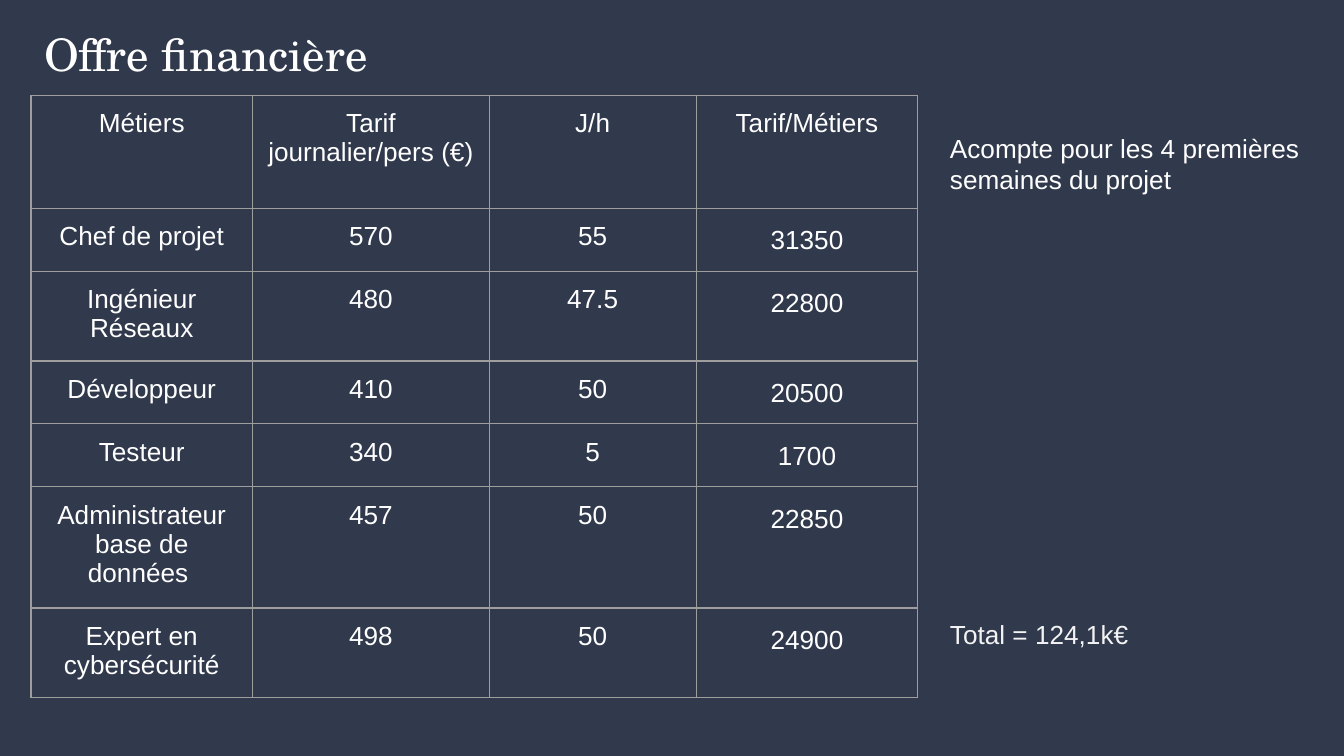
from lxml.etree import SubElement as Sub
from pptx import Presentation
from pptx.dml.color import RGBColor as Rgb
from pptx.enum.text import MSO_ANCHOR as Anchor, PP_ALIGN as Align
from pptx.oxml.ns import qn
from pptx.util import Inches, Pt

HUES = {"back": "31394D", "text": "FFFFFF", "total": "F3F3F3", "line": "9E9E9E"}
TITLE = "Offre financière"
NOTE = "Acompte pour les 4 premières semaines du projet"
TOTAL = "Total = 124,1k€"
HEAD = ("Métiers", "Tarif journalier/pers (€)", "J/h", "Tarif/Métiers")
JOBS = [
    ("Chef de projet", "570", "55", "31350"),
    ("Ingénieur Réseaux", "480", "47.5", "22800"),
    ("Développeur", "410", "50", "20500"),
    ("Testeur", "340", "5", "1700"),
    ("Administrateur base de données ", "457", "50", "22850"),
    ("Expert en cybersécurité", "498", "50", "24900"),
]
WIDTHS = (1.65, 1.76, 1.54, 1.65)
HEIGHTS = (0.84, 0.44, 0.61, 0.44, 0.44, 0.61, 0.61)
PAD = Inches(0.1)


def write(frame, text, size=14, font="Arial", hue="text", align=Align.LEFT, gap=None):
    par = frame.paragraphs[0]
    par.alignment = align
    par.line_spacing = gap
    run = par.add_run()
    run.text = text
    run.font.size = Pt(size)
    run.font.name = font
    run.font.bold = False
    run.font.color.rgb = Rgb.from_string(HUES[hue])


def add_box(slide, place, text, anchor=Anchor.TOP, **style):
    frame = slide.shapes.add_textbox(*map(Inches, place)).text_frame
    frame.word_wrap = True
    frame.vertical_anchor = anchor
    frame.margin_left = frame.margin_right = PAD
    frame.margin_top = frame.margin_bottom = PAD
    write(frame, text, **style)


def edge(cell):
    props = cell._tc.get_or_add_tcPr()
    for side in ("lnL", "lnR", "lnT", "lnB"):
        line = Sub(props, qn(f"a:{side}"), w=str(Pt(0.75)))
        Sub(Sub(line, qn("a:solidFill")), qn("a:srgbClr"), val=HUES["line"])


def add_rates(slide):
    rows = [HEAD, *JOBS]
    place = map(Inches, (0.23, 0.71, 3.28, 3.28))
    holder = slide.shapes.add_table(len(rows), len(HEAD), *place)
    table = holder.table
    table.first_row = table.horz_banding = False
    for col, width in zip(table.columns, WIDTHS):
        col.width = Inches(width)
    for row, height in zip(table.rows, HEIGHTS):
        row.height = Inches(height)
    holder.width = holder.height = Inches(3.28)
    for r, row in enumerate(rows):
        for c, text in enumerate(row):
            cell = table.cell(r, c)
            cell.margin_left = cell.margin_right = PAD
            cell.margin_top = cell.margin_bottom = PAD
            edge(cell)
            cell.fill.background()
            gap = 1.15 if r and c == len(HEAD) - 1 else None
            write(cell.text_frame, text, align=Align.CENTER, gap=gap)


def main():
    deck = Presentation()
    deck.slide_width = Inches(10)
    deck.slide_height = deck.slide_width * 9 // 16
    slide = deck.slides.add_slide(deck.slide_layouts[6])
    fill = slide.background.fill
    fill.solid()
    fill.fore_color.rgb = Rgb.from_string(HUES["back"])
    add_box(slide, (0.23, 0.12, 5.83, 0.58), TITLE, anchor=Anchor.BOTTOM,
            size=24, font="TeX Gyre Schola")
    add_rates(slide)
    add_box(slide, (6.97, 4.5, 1.7, 0.67), TOTAL, hue="total")
    add_box(slide, (6.97, 0.4, 2.84, 1.15), NOTE, anchor=Anchor.BOTTOM)
    deck.save("out.pptx")


if __name__ == "__main__":
    main()
